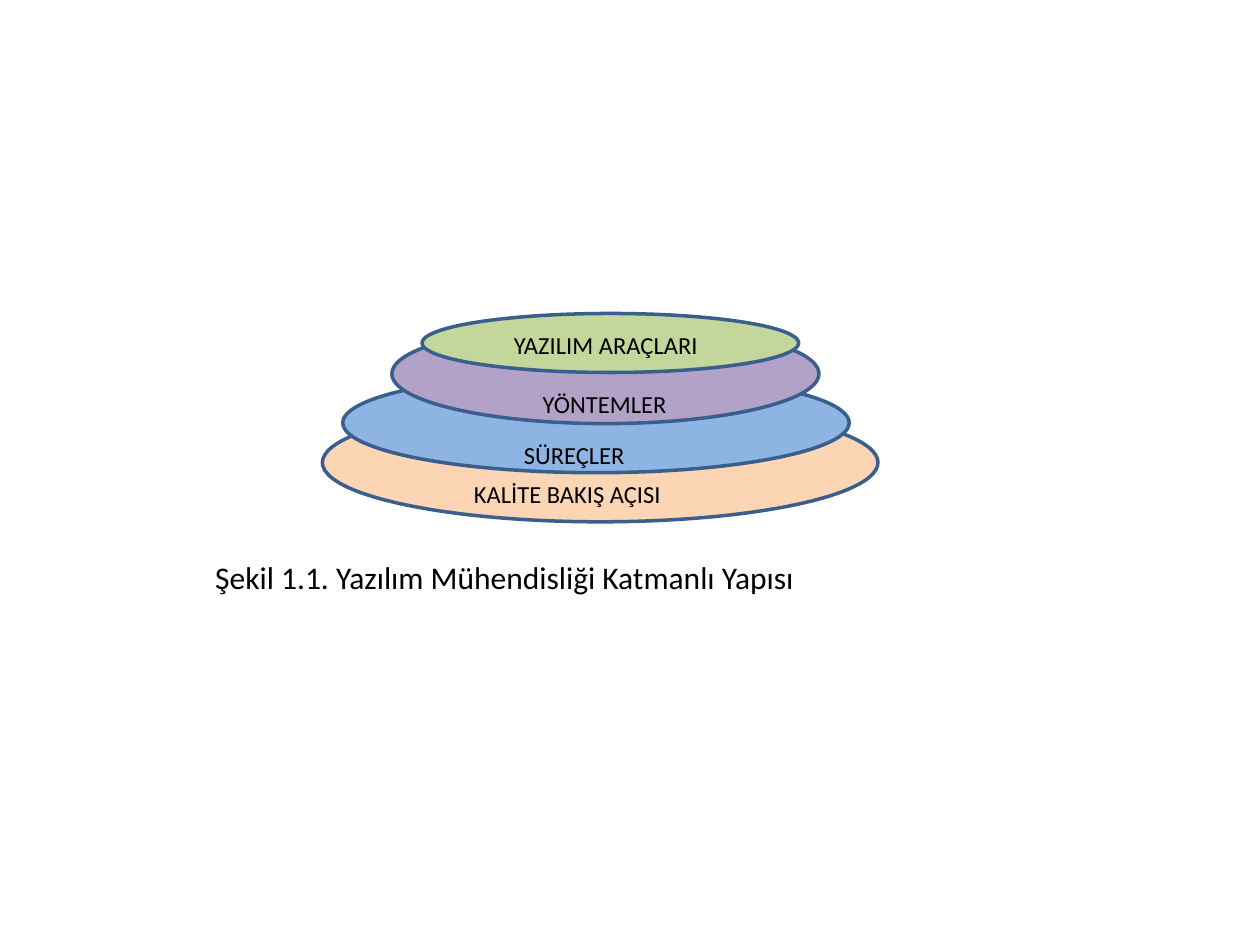
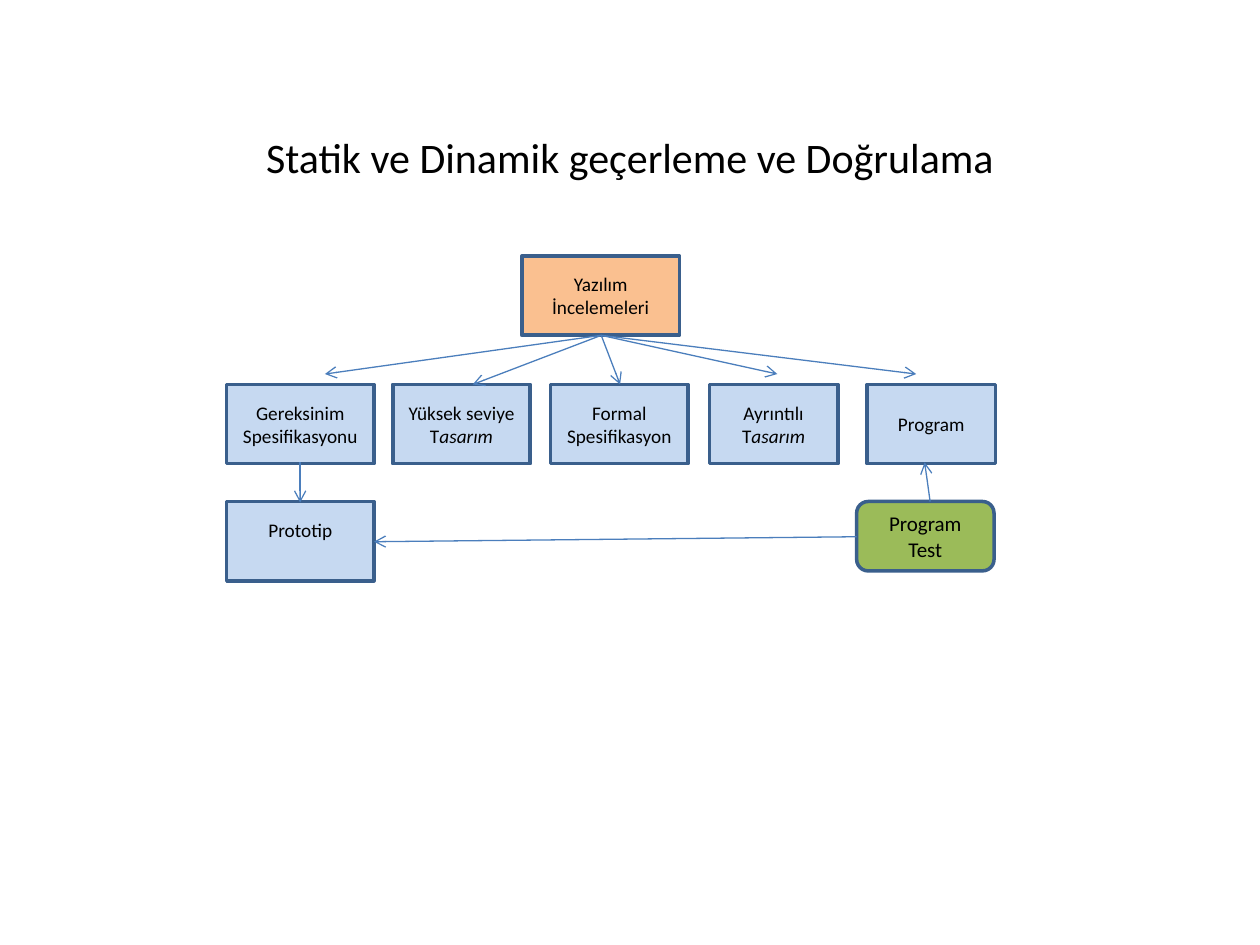
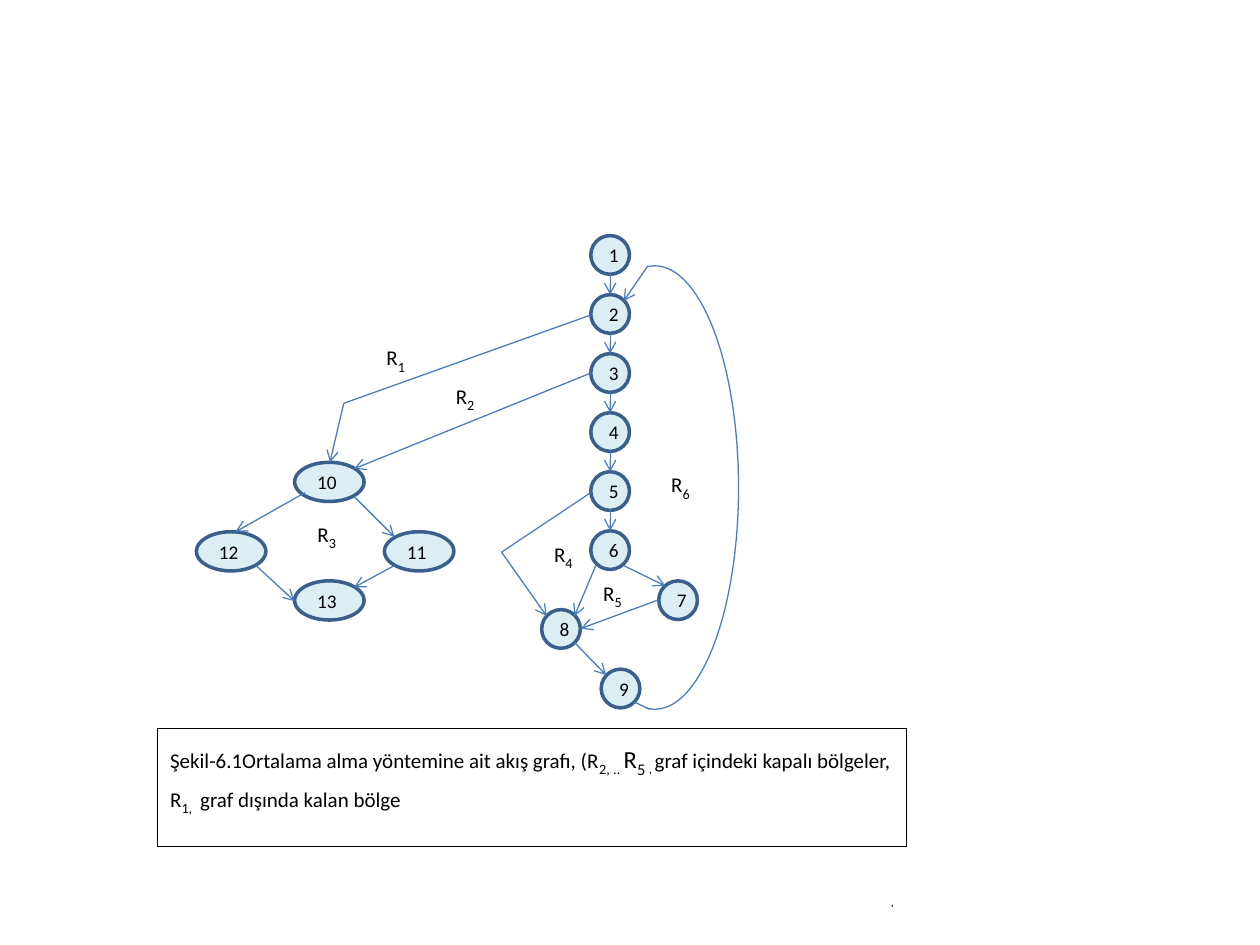
import itertools

import pptx
import pptx.dml.color
import pptx.enum.shapes
import pptx.enum.text
import pptx.oxml
import pptx.oxml.ns
import pptx.util

Cm = pptx.util.Cm
Pt = pptx.util.Pt
SHAPE = pptx.enum.shapes.MSO_SHAPE
ALIGN = pptx.enum.text.PP_ALIGN
ANCHOR = pptx.enum.text.MSO_ANCHOR
NS = pptx.oxml.ns.nsdecls("a")

COLORS = {
    "text": "000000",
    "outline": "3A5F8C",
    "arrow": "4B7EBC",
    "peach": "FCD5B5",
    "sky": "8EB4E3",
    "violet": "B3A2C7",
    "lime": "C3D69B",
    "orange": "FAC090",
    "pale": "C6D9F1",
    "green": "9BBB59",
    "ice": "DBEEF4",
}
FONT = {"name": "Calibri", "bold": False}
FRAME = {"word_wrap": True, "auto_size": pptx.enum.text.MSO_AUTO_SIZE.NONE}
TITLE_ONLY, TITLE_AND_BODY, BLANK = 5, 1, 6


def apply(target, values):
    for name, value in values.items():
        setattr(target, name, value)


def color(key):
    return pptx.dml.color.RGBColor.from_string(COLORS[key])


class Deck:
    def __init__(self):
        self.presentation = pptx.Presentation()
        self.presentation.slide_width = Cm(25.4)
        self.presentation.slide_height = Cm(19.05)
        self.slide = None

    def new_slide(self, layout):
        layouts = self.presentation.slide_layouts
        self.slide = self.presentation.slides.add_slide(layouts[layout])

    def add_words(self, paragraph, pieces, size, align=ALIGN.LEFT):
        paragraph.alignment = align
        for words, *changes in [pieces] if isinstance(pieces, tuple) else pieces:
            look = {"size": size, **(changes[0] if changes else {})}
            run = paragraph.add_run()
            run.text = words
            if look.pop("sub", False):
                run._r.get_or_add_rPr().set("baseline", "-25000")
            look["size"] = Pt(look["size"])
            apply(run.font, {**FONT, **look})
            run.font.color.rgb = color("text")

    def place(self, holder, box, pieces, size, align=ALIGN.LEFT, anchor=ANCHOR.TOP):
        apply(holder, dict(zip(("left", "top", "width", "height"), map(Cm, box))))
        apply(holder.text_frame, {**FRAME, "vertical_anchor": anchor})
        self.add_words(holder.text_frame.paragraphs[0], pieces, size, align)

    def title(self, box, words, size):
        self.place(self.slide.shapes.title, box, (words,), size, ALIGN.CENTER, ANCHOR.MIDDLE)

    def body(self, box, words, size):
        holder = self.slide.placeholders[1]
        properties = holder.text_frame.paragraphs[0]._p.get_or_add_pPr()
        for name in ("marL", "indent"):
            properties.set(name, "0")
        properties.append(pptx.oxml.parse_xml(f"<a:buNone {NS}/>"))
        holder.text_frame.paragraphs[0].space_before = Pt(0)
        self.place(holder, box, (words,), size)

    def remove_title(self):
        heading = self.slide.shapes.title._element
        heading.getparent().remove(heading)

    def label(self, box, pieces, size):
        self.place(self.slide.shapes.add_textbox(*map(Cm, box)), box, pieces, size)

    def shape(self, kind, box, fill=None, line="outline", weight=2):
        figure = self.slide.shapes.add_shape(kind, *map(Cm, box))
        figure.shadow.inherit = False
        if fill:
            figure.fill.solid()
            figure.fill.fore_color.rgb = color(fill)
        else:
            figure.fill.background()
        figure.line.color.rgb = color(line)
        figure.line.width = Pt(weight)
        return figure

    def node(self, kind, box, fill, pieces, size=11, align=ALIGN.CENTER):
        figure = self.shape(kind, box, fill)
        self.place(figure, box, pieces, size, align, ANCHOR.MIDDLE)
        return figure

    def route(self, *stops, arrow=True):
        straight = pptx.enum.shapes.MSO_CONNECTOR.STRAIGHT
        for start, end in itertools.pairwise(stops):
            leg = self.slide.shapes.add_connector(straight, *map(Cm, start + end))
            leg.line.color.rgb = color("arrow")
            leg.line.width = Pt(0.75)
            if arrow and end == stops[-1]:
                leg.line._get_or_add_ln().append(
                    pptx.oxml.parse_xml(f'<a:tailEnd {NS} type="arrow"/>'))
            leg._element.spPr.append(pptx.oxml.parse_xml(f"<a:effectLst {NS}/>"))


def build_layers(deck):
    deck.new_slide(TITLE_AND_BODY)
    deck.remove_title()
    deck.body((9.3, 9.53, 5.21, 0.86), "KALİTE BAKIŞ AÇISI", 14)
    layers = [
        ("peach", (6.5, 8.13, 11.2, 2.39)),
        ("sky", (6.91, 7.52, 10.21, 2.01)),
        ("violet", (7.9, 6.53, 8.61, 2.01)),
        ("lime", (8.51, 6.32, 7.59, 1.19)),
    ]
    for fill, box in layers:
        deck.shape(SHAPE.OVAL, box, fill)
    quality = deck.slide.placeholders[1]._element
    quality.getparent().append(quality)
    for words, left, top, width in [
        ("YAZILIM ARAÇLARI", 10.11, 6.53, 4.6),
        ("YÖNTEMLER", 10.69, 7.72, 3.2),
        ("SÜREÇLER", 10.31, 8.74, 3.81),
    ]:
        deck.label((left, top, width, 0.86), (words,), 14)
    deck.label((4.09, 11.13, 15.39, 1.02),
               ("Şekil 1.1. Yazılım Mühendisliği Katmanlı Yapısı",), 18)


def build_verification(deck):
    deck.new_slide(TITLE_ONLY)
    deck.title((1.27, 1.78, 22.86, 2.74), "Statik ve Dinamik geçerleme ve Doğrulama", 24)
    deck.node(SHAPE.RECTANGLE, (10.52, 5.16, 3.18, 1.6), "orange", ("Yazılım İncelemeleri",))
    design = ("asarım", {"italic": True})
    reviews = [
        (4.57, 2.97, ("Gereksinim Spesifikasyonu",), (6.55, 7.54)),
        (7.92, 2.77, [("Yüksek seviye T",), design], (9.53, 7.75)),
        (11.1, 2.77, ("Formal Spesifikasyon",), (12.5, 7.75)),
        (14.3, 2.59, [("Ayrıntılı T",), design], (15.67, 7.54)),
        (17.48, 2.59, ("Program",), (18.47, 7.54)),
    ]
    for left, width, pieces, tip in reviews:
        deck.node(SHAPE.RECTANGLE, (left, 7.75, width, 1.6), "pale", pieces)
        deck.route((12.12, 6.76), tip)
    prototype = deck.node(SHAPE.RECTANGLE, (4.57, 10.11, 2.97, 1.6), "pale", ("Prototip",))
    prototype.text_frame.margin_bottom = Cm(0.6)
    deck.node(SHAPE.FLOWCHART_ALTERNATE_PROCESS, (17.27, 10.11, 2.77, 1.4), "green",
              ("Program Test",), 12)
    deck.route((6.05, 9.32), (6.05, 10.13))
    deck.route((18.75, 10.11), (18.64, 9.32))
    deck.route((17.27, 10.82), (7.54, 10.92))


def build_flow_graph(deck):
    deck.new_slide(BLANK)
    size, first_top, step = 0.78, 4.75, 1.19
    steps = [(11.91, first_top + step * row) for row in range(6)]
    steps += [(13.28, 11.71), (10.92, 12.29), (12.12, 13.49)]
    for number, (left, top) in enumerate(steps, 1):
        deck.node(SHAPE.OVAL, (left, top, size, size), "ice", (str(number),))
    for (_, above), (_, below) in itertools.pairwise(steps[:6]):
        deck.route((12.3, above + size), (12.3, below))
    for number, left, top in [(10, 5.94, 9.32), (11, 7.75, 10.72),
                              (12, 3.96, 10.72), (13, 5.94, 11.71)]:
        deck.node(SHAPE.OVAL, (left, top, 1.4, 0.79), "ice", (str(number),), align=ALIGN.LEFT)

    for stops in [
        ((12.01, 11.4), (11.58, 12.42)),
        ((11.58, 12.95), (12.22, 13.61)),
        ((12.57, 11.4), (13.41, 11.81)),
        ((13.28, 12.09), (11.71, 12.67)),
        ((13.06, 5.36), (12.57, 6.07)),
        ((11.91, 9.93), (10.11, 11.13), (11.02, 12.42)),
        ((11.91, 6.35), (6.93, 8.13), (6.65, 9.32)),
        ((11.91, 7.52), (7.14, 9.45)),
        ((6.15, 9.93), (4.75, 10.72)),
        ((7.14, 10.01), (7.95, 10.82)),
        ((7.95, 11.4), (7.14, 11.84)),
        ((5.16, 11.4), (5.94, 12.12)),
    ]:
        deck.route(*stops)
    deck.route((13.11, 14.3), (12.78, 14.15), arrow=False)
    loop = deck.shape(SHAPE.ARC, (11.51, 5.36, 3.38, 8.94), line="arrow", weight=0.75)
    loop.adjustments[0], loop.adjustments[1] = 160.98, 55.38

    regions = [(7.54, 6.76), (8.94, 7.54), (6.15, 10.31),
               (10.92, 10.72), (11.91, 11.51), (13.28, 9.32)]
    for number, (left, top) in enumerate(regions, 1):
        deck.label((left, top, 1, 0.76),
                   [("R",), (str(number), {"size": 14, "sub": True})], 12)

    box = (3.18, 14.68, 15.09, 2.39)
    caption = deck.shape(SHAPE.RECTANGLE, box, line="text", weight=0.75)
    deck.place(caption, box, [
        ("Şekil-6.1Ortalama alma yöntemine ait akış grafı, (R",),
        ("2, .. ", {"size": 14, "sub": True}),
        ("R", {"size": 14}),
        ("5 ", {"size": 16, "sub": True}),
        (", ", {"sub": True}),
        ("graf içindeki kapalı bölgeler, R",),
        ("1, ", {"size": 14, "sub": True}),
        (" graf dışında kalan bölge",),
    ], 12)
    ending = caption.text_frame.add_paragraph()
    deck.add_words(ending, (",", {"sub": True}), 12, ALIGN.RIGHT)
    ending.space_before = Pt(34)
    for paragraph in caption.text_frame.paragraphs:
        paragraph.line_spacing = 1.15


def main():
    deck = Deck()
    build_layers(deck)
    build_verification(deck)
    build_flow_graph(deck)
    deck.presentation.save("out.pptx")


if __name__ == "__main__":
    main()
